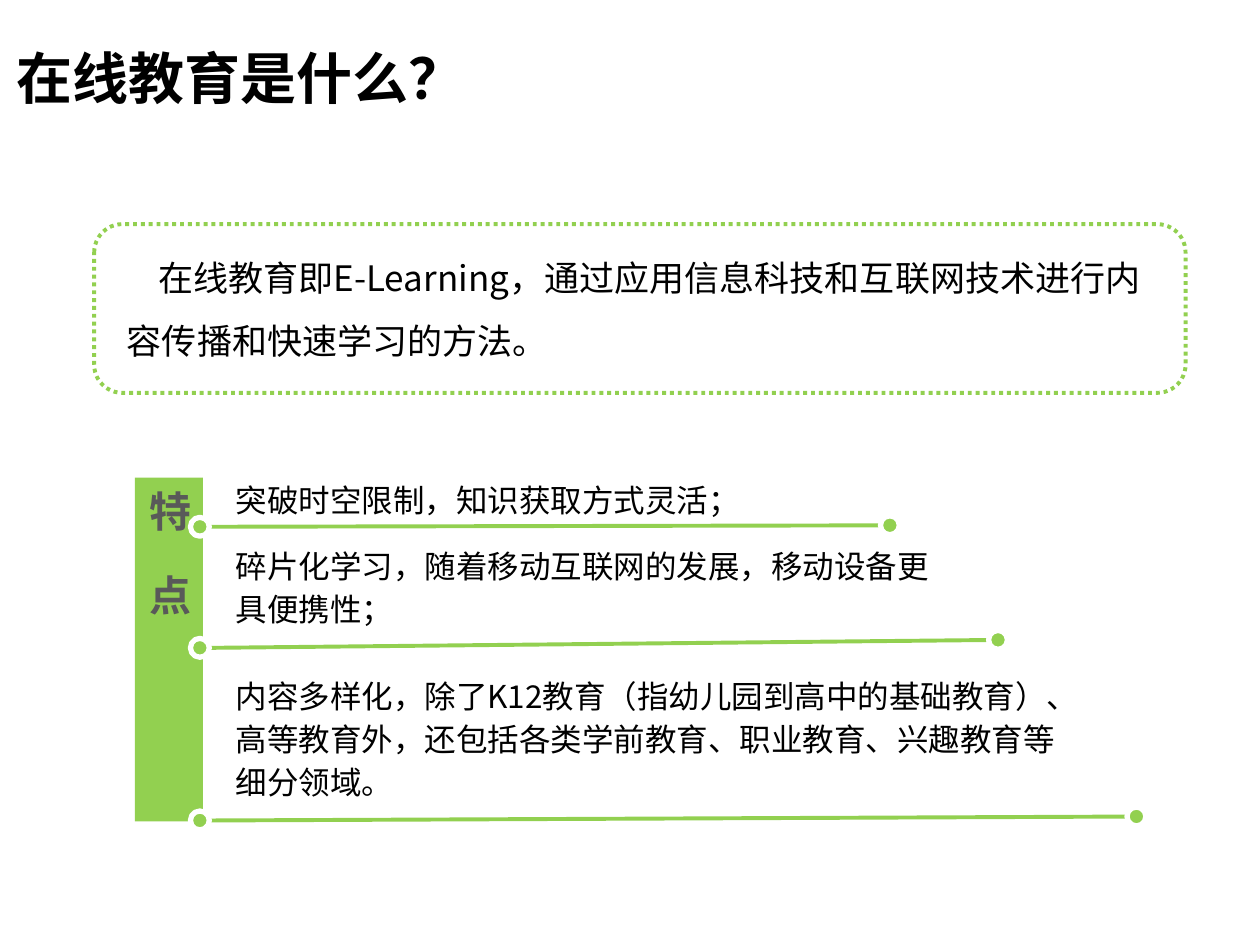
from dataclasses import dataclass

from lxml.etree import SubElement
from pptx import Presentation
from pptx.dml.color import RGBColor
from pptx.enum.dml import MSO_LINE_DASH_STYLE as Dash
from pptx.enum.shapes import MSO_CONNECTOR as Link, MSO_SHAPE as Form
from pptx.enum.text import MSO_ANCHOR as Anchor, MSO_AUTO_SIZE as Fit, PP_ALIGN as Align
from pptx.oxml.ns import qn
from pptx.util import Cm, Pt

FONT = "Noto Sans CJK SC"
HUES = {"green": "92D050", "white": "FFFFFF", "grey": "595959", "black": "000000"}
DOT = 0.38  # dot diameter, cm
START = 4.22  # left end of every rule, cm


@dataclass
class Trait:
    text: str
    top: float
    width: float
    height: float
    left_y: float  # rule height at its left end
    end_x: float
    end_y: float
    spacing: float = 1.14


TRAITS = [
    Trait("突破时空限制，知识获取方式灵活；", 9.58, 11.38, 1.02, 10.62, 17.94, 10.59, 1.0),
    Trait("碎片化学习，随着移动互联网的发展，移动设备更具便携性；",
          10.8, 14.63, 2.01, 13.06, 20.12, 12.9),
    Trait("内容多样化，除了K12教育（指幼儿园到高中的基础教育）、高等教育外，"
          "还包括各类学前教育、职业教育、兴趣教育等细分领域。",
          13.41, 17.63, 2.9, 16.54, 22.91, 16.46),
]


def hue(name: str) -> RGBColor:
    return RGBColor.from_string(HUES[name])


def place(shape, x: float, y: float, w: float, h: float) -> None:
    shape.left, shape.top, shape.width, shape.height = Cm(x), Cm(y), Cm(w), Cm(h)


def write(shape, text: str, *, size: float = 18, color: str = "black", bold: bool = False,
          spacing: float = 1.0, anchor=Anchor.TOP, wrap: bool = True, indent: float = 0):
    frame = shape.text_frame
    frame.word_wrap = wrap
    frame.auto_size = Fit.NONE
    frame.vertical_anchor = anchor
    para = frame.paragraphs[0]
    para.alignment = Align.LEFT
    para.line_spacing = spacing
    if indent:
        para._p.get_or_add_pPr().set("indent", str(Cm(indent)))
    run = para.add_run()
    run.text = text
    font = run.font
    font.name, font.size, font.bold = FONT, Pt(size), bold
    font.color.rgb = hue(color)
    SubElement(run._r.get_or_add_rPr(), qn("a:ea")).set("typeface", FONT)
    return frame


def add_box(slide, x: float, y: float, w: float, h: float):
    return slide.shapes.add_textbox(Cm(x), Cm(y), Cm(w), Cm(h))


def add_form(slide, form, x: float, y: float, w: float, h: float,
             fill: str = "", line: str = "", width: float = 0):
    shape = slide.shapes.add_shape(form, Cm(x), Cm(y), Cm(w), Cm(h))
    shape.shadow.inherit = False
    if fill:
        shape.fill.solid()
        shape.fill.fore_color.rgb = hue(fill)
    else:
        shape.fill.background()
    if line:
        shape.line.color.rgb = hue(line)
        shape.line.width = Pt(width)
    else:
        shape.line.fill.background()
    return shape


def add_dot(slide, x: float, y: float) -> None:
    """Draw a ringed dot centred on a point."""
    add_form(slide, Form.OVAL, x - DOT / 2, y - DOT / 2, DOT, DOT, "green", "white", 3)


def add_trait(slide, trait: Trait) -> None:
    rule = slide.shapes.add_connector(Link.STRAIGHT, Cm(START), Cm(trait.left_y),
                                      Cm(trait.end_x), Cm(trait.end_y))
    rule.line.color.rgb = hue("green")
    rule.line.width = Pt(2.25)
    SubElement(rule._element.spPr, qn("a:effectLst"))
    add_dot(slide, START - DOT / 2, trait.left_y)
    add_dot(slide, trait.end_x, trait.end_y)
    box = add_box(slide, 4.5, trait.top, trait.width, trait.height)
    write(box, trait.text, spacing=trait.spacing)


def main() -> None:
    deck = Presentation()
    deck.slide_width, deck.slide_height = Cm(25.4), Cm(19.05)
    slide = deck.slides.add_slide(deck.slide_layouts[5])

    # Title
    title = slide.shapes.title
    place(title, 0.08, 0.74, 9.19, 2.01)
    write(title, "在线教育是什么？", size=32, bold=True, wrap=False).margin_right = 0

    # Definition in a dotted frame
    frame = add_form(slide, Form.ROUNDED_RECTANGLE, 1.9, 4.52, 22, 3.4,
                     line="green", width=2.25)
    frame.line.dash_style = Dash.ROUND_DOT
    note = add_box(slide, 2.31, 4.11, 21.01, 3.81)
    write(note, "在线教育即E-Learning，通过应用信息科技和互联网技术进行内容传播和快速学习的方法。",
          size=20, spacing=1.5, anchor=Anchor.MIDDLE, indent=0.63)

    # Side bar with vertical label
    add_form(slide, Form.RECTANGLE, 2.72, 9.63, 1.37, 6.93, fill="green")
    label = write(add_box(slide, 2.87, 9.63, 1.07, 6.73), "特　点", size=24,
                  color="grey", bold=True, anchor=Anchor.MIDDLE)
    label._txBody.bodyPr.set("vert", "eaVert")

    # Traits, each over its rule
    for trait in TRAITS:
        add_trait(slide, trait)

    deck.save("out.pptx")


if __name__ == "__main__":
    main()
